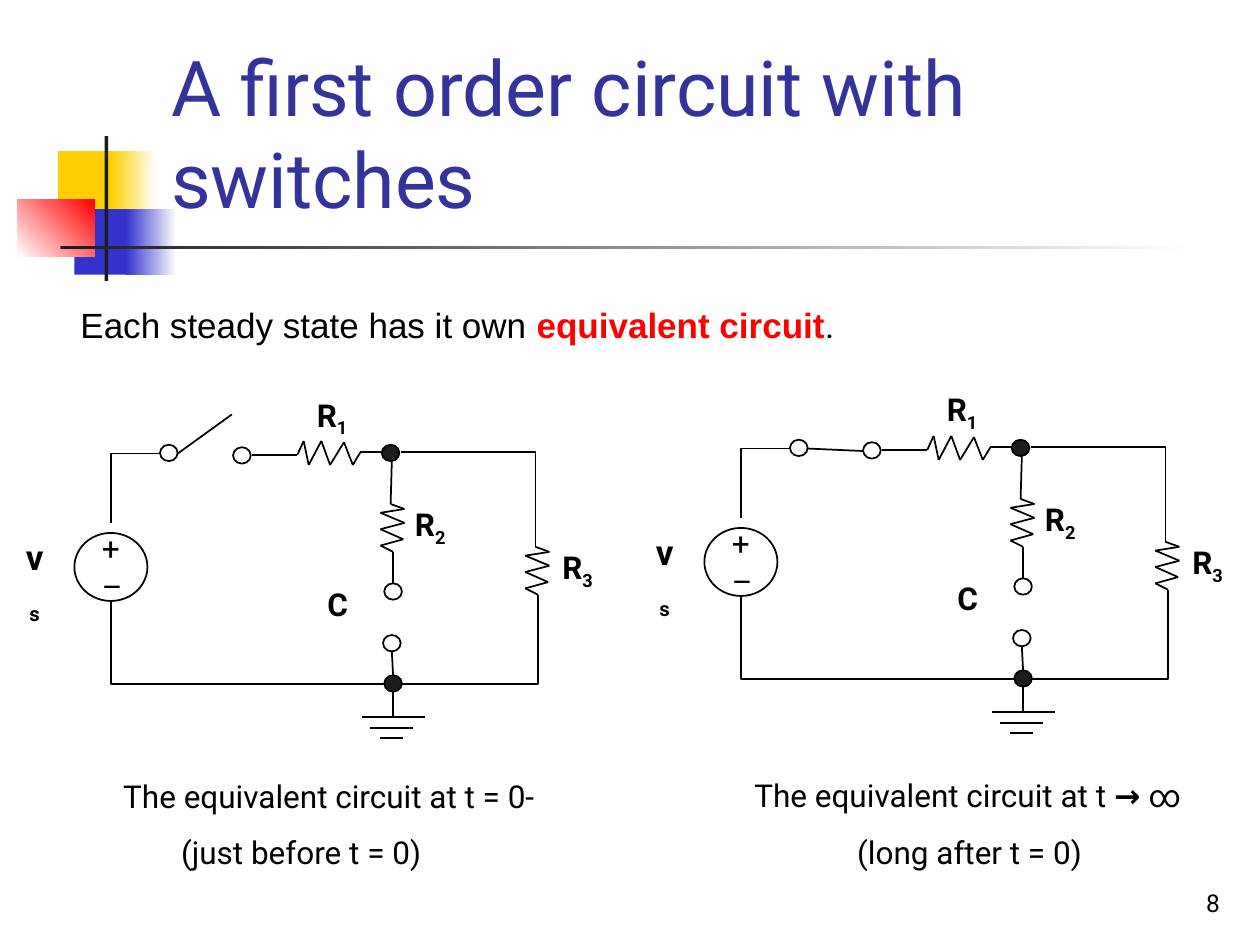
from itertools import pairwise

from pptx import Presentation, util as u
from pptx.dml.color import RGBColor
from pptx.enum import shapes as sh, text as tx
from pptx.oxml import ns, xmlchemy

PX = 9144  # 100 px to the inch
HEX = {
    "black": "000000", "white": "FFFFFF", "ink": "1C1C1C", "red": "FF0000",
    "gold": "FFCF01", "blue": "3333CC", "title": "333399",
}

# Decoration: box, colour or (from, to), angle
DECOR = [
    ((46, 120, 48, 52), "gold", 0),
    ((88, 120, 36, 52), ("gold", "white"), 0),
    ((59, 166, 46, 52), "blue", 0),
    ((100, 166, 40, 52), ("blue", "white"), 0),
    ((14, 158, 61, 46), ("white", "red"), 45),
    ((83, 108, 3, 115), "ink", 0),
    ((48, 195, 900, 3), ("ink", "white"), 0),
]

# Text: box, paragraphs of (words, run format), base format
TEXTS = [
    ((126, 23, 852, 160), [[("A first order circuit with switches", {})]],
     {"size": 44, "color": "title", "anchor": "BOTTOM"}),
    ((54, 236, 850, 450),
     [[("Each steady state has it own ", {"name": "Arial"}),
       ("equivalent circuit", {"name": "Arial", "color": "red", "bold": True}),
       (".", {})]], {"size": 20}),
    ((770, 683, 208, 50), [[("8", {})]],
     {"size": 14, "align": "RIGHT", "anchor": "BOTTOM"}),
    ((88, 612, 394, 40), [[("The equivalent circuit at t = 0-", {})]], {}),
    ((571, 611, 394, 40),
     [[("The equivalent circuit at t ", {}), ("→ ", {"bold": True}), ("∞", {})]],
     {"align": "CENTER"}),
    ((127, 656, 224, 40), [[("(just before t = 0)", {})]],
     {"align": "CENTER", "wrap": False}),
    ((664, 656, 211, 40), [[("(long after t = 0)", {})]],
     {"align": "CENTER", "wrap": False}),
]

# Circuit parts, placed from the corner of the left circuit
SUB = {"sub": True}
LABELS = [
    ((234, 309, 53, 40), [[(" R", {}), ("1", SUB)]], {"bold": True}),
    ((318, 396, 47, 40), [[("R", {}), ("2", SUB)]], {"bold": True}),
    ((435, 430, 47, 40), [[("R", {}), ("3", SUB)]], {"bold": True}),
    ((249, 459, 38, 40), [[("C", {})]], {"bold": True}),
    ((7, 391, 41, 110), [[("v", {}), ("s", SUB)]],
     {"bold": True, "size": 20, "wrap": True, "anchor": "BOTTOM"}),
    ((71, 415, 34, 70), [[("+", {})], [("–", {})]], {}),
]
CORNERS = [  # each runs level first, then upright
    ((305, 543), (88, 477)), ((127, 360), (88, 415)),
    ((318, 359), (425, 434)), ((319, 543), (427, 472)),
]
UPRIGHT = [(0, 0), (11, 4), (-8, 7), (11, 15), (-8, 20), (10, 28), (-8, 33), (2, 38)]
LEVEL = [(0, 0), (5, -11), (9, 8), (19, -11), (26, 8), (37, -10), (44, 8), (50, -2)]
ZIGZAGS = [((236, 361), LEVEL), ((310, 400), UPRIGHT), ((425, 434), UPRIGHT)]
WIRES = [
    ((286, 359), (303, 359)), ((200, 361), (236, 361)),
    ((311, 366), (310, 400)), ((312, 438), (312, 463)),
    ((311, 517), (312, 536)), ((312, 543), (312, 568)),
    ((287, 569), (337, 569)), ((294, 578), (328, 578)), ((302, 586), (320, 586)),
]
DOTS = [
    ((303, 353), "ink"), ((305, 536), "ink"),
    ((127, 353), "white"), ((185, 355), "white"),
    ((305, 463), "white"), ((304, 504), "white"),
]
SOURCE = (59, 423, 58, 54)
CIRCUITS = [  # offset, switch blade
    ((500, -4), ((141, 360), (186, 362))),
    ((0, 0), ((141, 360), (184, 329))),
]


def rgb(name):
    return RGBColor.from_string(HEX[name])


def emu(nums):
    return [n * PX for n in nums]


def move(spot, by):
    return spot[0] + by[0], spot[1] + by[1], *spot[2:]


def write(home, box, paras, form):
    form = {"size": 18, "name": "Roboto", "color": "black", "bold": False,
            "align": "LEFT", "anchor": "TOP", "wrap": True, **form}
    frame = home.add_textbox(*emu(box)).text_frame
    frame.word_wrap = form["wrap"]
    frame.vertical_anchor = getattr(tx.MSO_ANCHOR, form["anchor"])
    for i, runs in enumerate(paras):
        para = frame.add_paragraph() if i else frame.paragraphs[0]
        para.alignment = getattr(tx.PP_ALIGN, form["align"])
        for words, extra in runs:
            look = {**form, **extra}
            run = para.add_run()
            run.text = words
            for key in ("name", "bold"):
                setattr(run.font, key, look[key])
            run.font.size = u.Pt(look["size"])
            run.font.color.rgb = rgb(look["color"])
            if look.get("sub"):
                run.font._element.set("baseline", "-25000")


def shape(home, kind, box, color=None, angle=0, edge=True):
    item = home.add_shape(kind, *emu(box))
    item.shadow.inherit = False
    if color is None:
        item.fill.background()
    elif isinstance(color, tuple):
        item.fill.gradient()
        item.fill.gradient_angle = angle
        for stop, name in zip(item.fill.gradient_stops, color):
            stop.color.rgb = rgb(name)
    else:
        item.fill.solid()
        item.fill.fore_color.rgb = rgb(color)
    if edge:
        item.line.color.rgb = rgb("black")
        item.line.width = u.Pt(1)
    else:
        item.line.fill.background()


def wire(home, start, end, bent=False):
    kind = sh.MSO_CONNECTOR.ELBOW if bent else sh.MSO_CONNECTOR.STRAIGHT
    item = home.add_connector(kind, *emu(start + end))
    item.line.color.rgb = rgb("black")
    item.line.width = u.Pt(1)
    props = item._element.spPr
    if bent:
        props.find(ns.qn("a:prstGeom")).set("prst", "bentConnector2")
    props.append(xmlchemy.OxmlElement("a:effectLst"))


def circuit(home, by, blade):
    for start, end in CORNERS:
        wire(home, move(start, by), move(end, by), bent=True)
    for start, end in WIRES + [blade]:
        wire(home, move(start, by), move(end, by))
    for base, zig in ZIGZAGS:
        spots = [move(move(base, step), by) for step in zig]
        for start, end in pairwise(spots):
            wire(home, start, end)
    oval = sh.MSO_SHAPE.OVAL
    shape(home, oval, move(SOURCE, by))
    for spot, color in DOTS:
        shape(home, oval, move(spot, by) + (14, 13), color)
    for box, paras, form in LABELS:
        write(home, move(box, by), paras, {"align": "CENTER", "wrap": False, **form})


def main():
    deck = Presentation()
    deck.slide_width, deck.slide_height = emu((1000, 750))
    home = deck.slides.add_slide(deck.slide_layouts[6]).shapes
    for box, color, angle in DECOR:
        shape(home, sh.MSO_SHAPE.RECTANGLE, box, color, angle, edge=False)
    for box, paras, form in TEXTS[:3]:
        write(home, box, paras, form)
    for by, blade in CIRCUITS:
        circuit(home.add_group_shape().shapes, by, blade)
    for box, paras, form in TEXTS[3:]:
        write(home, box, paras, form)
    deck.save("out.pptx")


if __name__ == "__main__":
    main()
